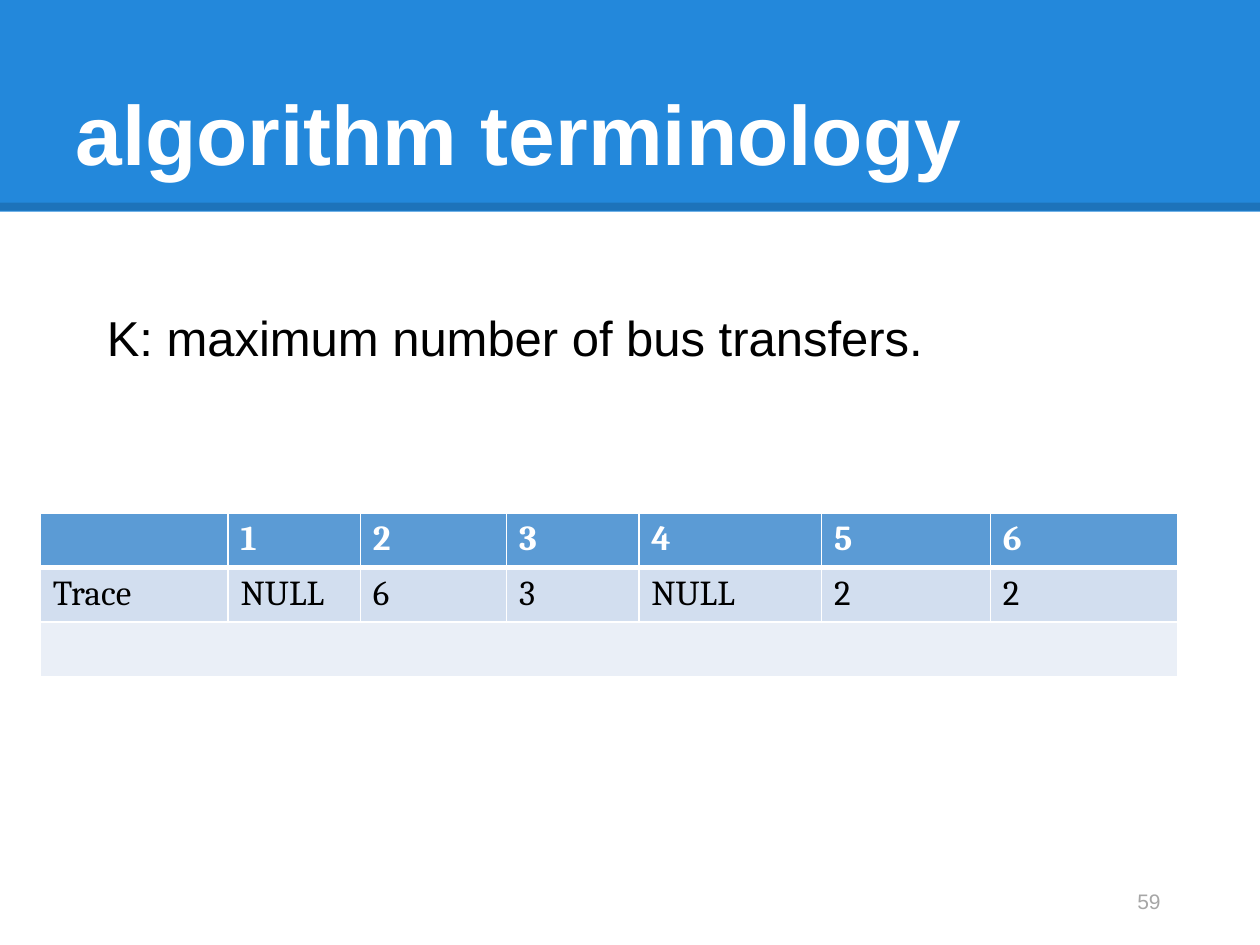
from lxml.etree import SubElement as Sub
from pptx import Presentation
from pptx.dml.color import RGBColor as Rgb
from pptx.enum.shapes import MSO_CONNECTOR as Conn, MSO_SHAPE as Shape
from pptx.enum.text import MSO_ANCHOR as Anchor, PP_ALIGN as Align
from pptx.oxml.ns import qn
from pptx.util import Inches, Pt

HUES = {"band": "2388DB", "white": "FFFFFF", "black": "000000", "gray": "A6A6A6",
        "head": "5B9BD5", "dark": "D2DEEF", "light": "EAEFF7"}


class Deck:
    """Hold the style and the current slide, and draw each kind of element."""

    def __init__(self):
        self.show = Presentation()
        self.show.slide_width, self.show.slide_height = Inches(10), Inches(7.5)
        self.slide = self.show.slides.add_slide(self.show.slide_layouts[6])
        self.shapes = self.slide.shapes

    def hue(self, name):
        return Rgb.from_string(HUES[name])

    def fill(self, item, name):
        item.fill.solid()
        item.fill.fore_color.rgb = self.hue(name)

    def rect(self, box, name):
        shape = self.shapes.add_shape(Shape.RECTANGLE, *map(Inches, box))
        shape.shadow.inherit = False
        self.fill(shape, name)
        shape.line.fill.background()

    def rule(self, ends, name, width, alpha):
        line = self.shapes.add_connector(Conn.STRAIGHT, *map(Inches, ends))
        line.line.color.rgb = self.hue(name)
        line.line.width = Pt(width)
        props = line._element.spPr
        tint = props.find(".//" + qn("a:srgbClr"))
        Sub(tint, qn("a:alpha"), val=str(alpha * 1000))
        Sub(props, qn("a:effectLst"))

    def run(self, para, text, size, name, face="Arial", bold=False):
        run = para.add_run()
        run.text = text
        font = run.font
        font.size, font.name, font.bold = Pt(size), face, bold
        font.color.rgb = self.hue(name)

    def text(self, box, text, size, name, bold=False, anchor=Anchor.TOP,
             align=Align.LEFT, inset=0.1, wrap=True):
        frame = self.shapes.add_textbox(*map(Inches, box)).text_frame
        frame.word_wrap, frame.vertical_anchor = wrap, anchor
        frame.margin_left = frame.margin_right = Inches(0.1)
        frame.margin_top = frame.margin_bottom = Inches(inset)
        para = frame.paragraphs[0]
        para.alignment = align
        self.run(para, text, size, name, bold=bold)

    def edge(self, cell, side, width):
        props = cell._tc.get_or_add_tcPr()
        line = Sub(props, qn("a:ln" + side), w=str(Pt(width)))
        solid = Sub(line, qn("a:solidFill"))
        Sub(solid, qn("a:srgbClr"), val=HUES["white"])

    def table(self, spot, cols, high, rows, fills):
        size = sum(cols), high * len(rows)
        grid = self.shapes.add_table(len(rows), len(cols), *map(Inches, (*spot, *size))).table
        for col, wide in zip(grid.columns, cols):
            col.width = Inches(wide)
        for r, (row, name) in enumerate(zip(rows, fills)):
            grid.rows[r].height = Inches(high)
            for c, text in enumerate(row):
                cell = grid.cell(r, c)
                for side in "LRTB":
                    thick = (r, side) in ((0, "B"), (1, "T"))
                    self.edge(cell, side, 3 if thick else 1)
                self.fill(cell, name)
                if text:
                    ink = "black" if r else "white"
                    self.run(cell.text_frame.paragraphs[0], text, 20, ink, "Cambria", r == 0)
        last = len(rows) - 1
        grid.cell(last, 0).merge(grid.cell(last, len(cols) - 1))


def main():
    deck = Deck()
    deck.rect((0, 0, 10, 1.68), "band")
    deck.rule((0, 1.64, 10, 1.64), "black", 4.5, 15)
    deck.text((0.5, 0.3, 9, 1.25), "algorithm terminology", 48, "white",
              bold=True, anchor=Anchor.BOTTOM)
    deck.text((0.75, 2.39, 6.76, 0.57), "K: maximum number of bus transfers.",
              28, "black", inset=0.05, wrap=False)
    rows = [["", "1", "2", "3", "4", "5", "6"],
            ["Trace", "NULL", "6", "3", "NULL", "2", "2"],
            [""] * 7]
    deck.table((0.32, 4.07), [1.49, 1.05, 1.16, 1.05, 1.45, 1.34, 1.49], 0.43,
               rows, ["head", "dark", "light"])
    deck.text((7.06, 6.95, 2.25, 0.4), "59", 12, "gray",
              anchor=Anchor.MIDDLE, align=Align.RIGHT)
    deck.show.save("out.pptx")


if __name__ == "__main__":
    main()
